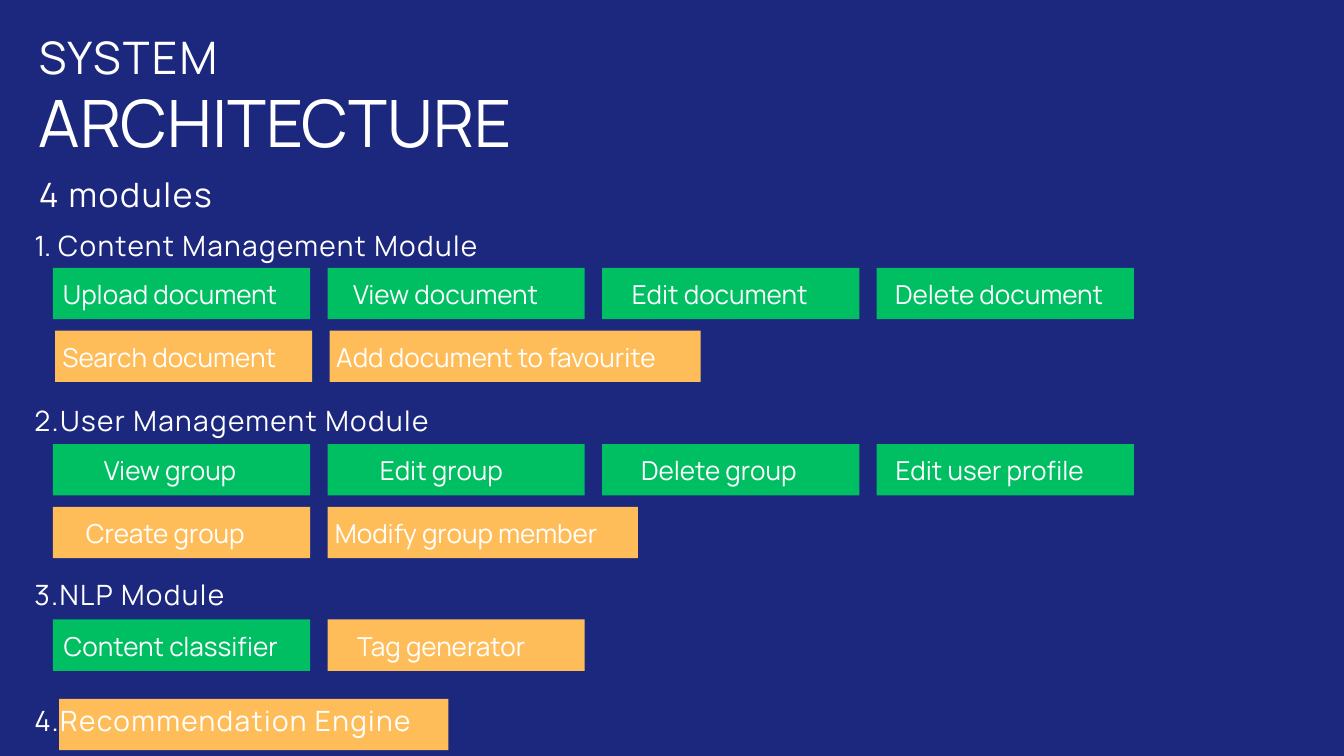
from lxml import etree
from pptx import Presentation
from pptx.dml.color import RGBColor
from pptx.enum.shapes import MSO_SHAPE
from pptx.enum.text import MSO_ANCHOR, MSO_AUTO_SIZE, PP_ALIGN
from pptx.oxml.ns import qn
from pptx.util import Cm, Pt

THEME = {
    "font": "Manrope",
    "background": "1C277E", "text": "FFFFFF", "green": "00BF63", "orange": "FFBD59",
    # size, line spacing, letter spacing, all in points
    "overline": (48, 57.6, 2.4), "title": (70, 82.6, 0), "subtitle": (36, 43.2, 1.8),
    "heading": (30, 36, 1.5), "label": (28, 44.8, 0),
}

LEFT, COLUMN_PITCH, ROW_PITCH = 2.0, 10.38, 2.37
BOX_W, BOX_H = 9.72, 1.94
HEADING_LEFT, HEADING_W, HEADING_H = 1.3, 23.93, 1.35
NUMBER_INDENT = 0.9

TITLE = [("SYSTEM", "overline"), ("ARCHITECTURE", "title")]
SUBTITLE = "4 modules"

# Each row: colour, shift to the right, then (label, text inset, box width)
MODULES = [
    {"heading": "Content Management Module", "numbered": True, "top": 8.64, "boxes_top": 10.13,
     "rows": [
         ("green", 0, [("Upload document", 0.38, BOX_W), ("View document", 0.97, BOX_W),
                       ("Edit document", 1.12, BOX_W), ("Delete document", 0.69, BOX_W)]),
         ("orange", 0.08, [("Search document", 0.28, BOX_W),
                           ("Add document to favourite", 0.25, 14.02)]),
     ]},
    {"heading": "2.User Management Module", "top": 15.24, "boxes_top": 16.79,
     "rows": [
         ("green", 0, [("View group", 1.93, BOX_W), ("Edit group", 1.98, BOX_W),
                       ("Delete group", 1.47, BOX_W), ("Edit user profile", 0.71, BOX_W)]),
         ("orange", 0, [("Create group", 1.25, BOX_W), ("Modify group member", 0.28, 11.73)]),
     ]},
    {"heading": "3.NLP Module", "top": 21.84, "boxes_top": 23.42,
     "rows": [("green", 0, [("Content classifier", 0.41, BOX_W)]),
              ]},
    {"heading": "4.Recommendation Engine", "top": 26.59, "boxes_top": 26.42,
     "rows": [("orange", 0.24, [("", 0, 14.71)])]},
]
TAG_BOX = ("Tag generator", 1.12, BOX_W)


def write(p, text, style):
    size, line, spacing = THEME[style]
    p.alignment = PP_ALIGN.LEFT
    p.line_spacing = Pt(line)
    r = p.add_run()
    r.text = text
    formats = {"name": THEME["font"], "size": Pt(size), "bold": False}
    for name, value in formats.items():
        setattr(r.font, name, value)
    r.font.color.rgb = RGBColor.from_string(THEME["text"])
    if spacing:
        r.font._element.set("spc", str(round(spacing * 100)))


def prepare(tf, inset=0):
    formats = {"margin_left": Cm(inset), "margin_top": 0, "margin_right": 0,
               "margin_bottom": 0, "word_wrap": True,
               "auto_size": MSO_AUTO_SIZE.NONE, "vertical_anchor": MSO_ANCHOR.TOP}
    for name, value in formats.items():
        setattr(tf, name, value)
    return tf


def add_text(s, text, style, left, top, width, height):
    sp = s.shapes.add_textbox(Cm(left), Cm(top), Cm(width), Cm(height))
    p = prepare(sp.text_frame).paragraphs[0]
    write(p, text, style)
    return p


def number(p):
    """Turn the paragraph into an automatically numbered one."""
    pPr = p._p.get_or_add_pPr()
    pPr.set("marL", str(Cm(NUMBER_INDENT)))
    pPr.set("indent", str(-Cm(NUMBER_INDENT)))
    etree.SubElement(pPr, qn("a:buAutoNum"), type="arabicPeriod")


def add_box(s, box, colour, left, top):
    label, inset, width = box
    sp = s.shapes.add_shape(MSO_SHAPE.RECTANGLE, Cm(left), Cm(top), Cm(width), Cm(BOX_H))
    sp.shadow.inherit = False
    sp.fill.solid()
    sp.fill.fore_color.rgb = RGBColor.from_string(THEME[colour])
    sp.line.fill.background()
    if label:
        write(prepare(sp.text_frame, inset).paragraphs[0], label, "label")


def add_title(s):
    sp = s.shapes.title
    place = {"left": Cm(1.47), "top": Cm(1.12), "width": Cm(19.63), "height": Cm(5.05)}
    for name, value in place.items():
        setattr(sp, name, value)
    tf = prepare(sp.text_frame)
    for i, (text, style) in enumerate(TITLE):
        write(tf.add_paragraph() if i else tf.paragraphs[0], text, style)


def add_module(s, module):
    for i, (colour, shift, boxes) in enumerate(module["rows"]):
        for j, box in enumerate(boxes):
            add_box(s, box, colour, LEFT + shift + j * COLUMN_PITCH,
                    module["boxes_top"] + i * ROW_PITCH)
    p = add_text(s, module["heading"], "heading",
                 HEADING_LEFT, module["top"], HEADING_W, HEADING_H)
    if module.get("numbered"):
        number(p)


def main():
    prs = Presentation()
    prs.slide_width, prs.slide_height = Cm(50.8), Cm(28.58)
    s = prs.slides.add_slide(prs.slide_layouts[5])
    s.background.fill.solid()
    s.background.fill.fore_color.rgb = RGBColor.from_string(THEME["background"])
    add_title(s)
    add_text(s, SUBTITLE, "subtitle", 1.47, 6.58, 12.7, 1.63)
    for module in MODULES:
        add_module(s, module)
    add_box(s, TAG_BOX, "orange", LEFT + COLUMN_PITCH, MODULES[2]["boxes_top"])
    prs.save("out.pptx")


if __name__ == "__main__":
    main()
